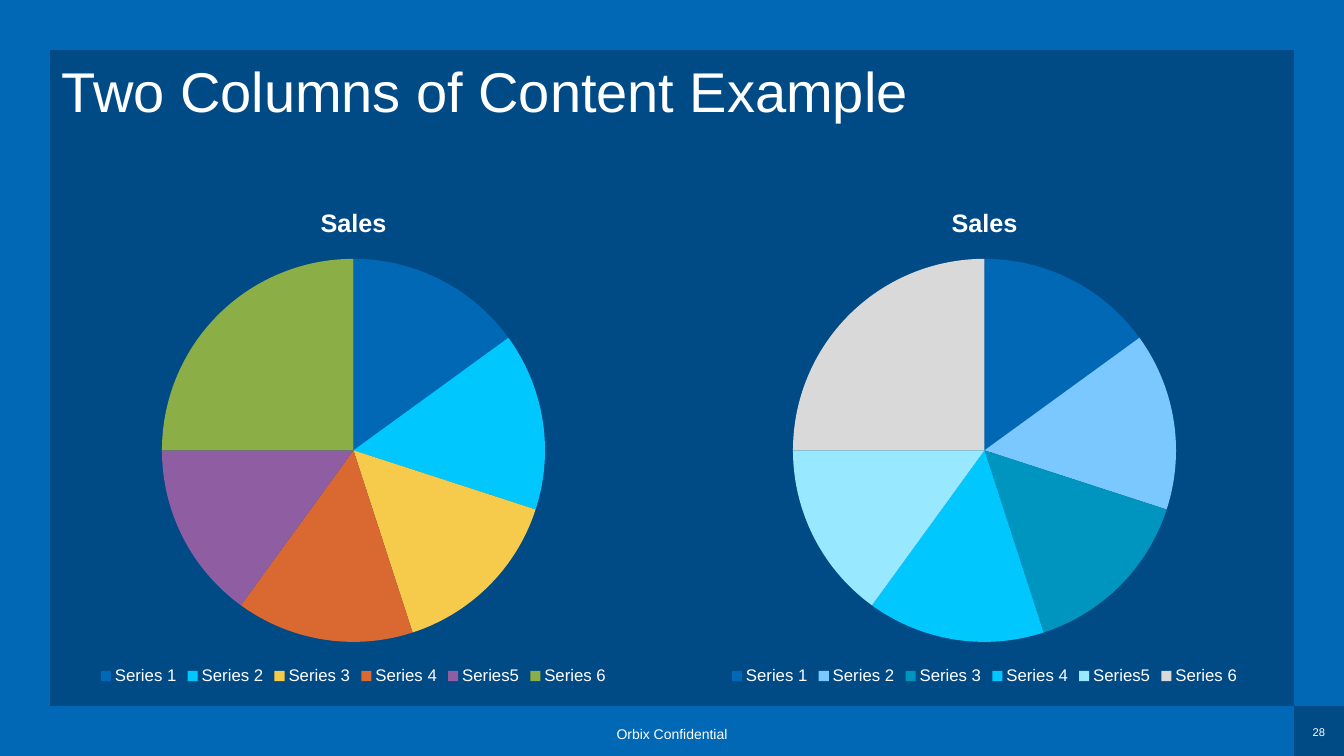
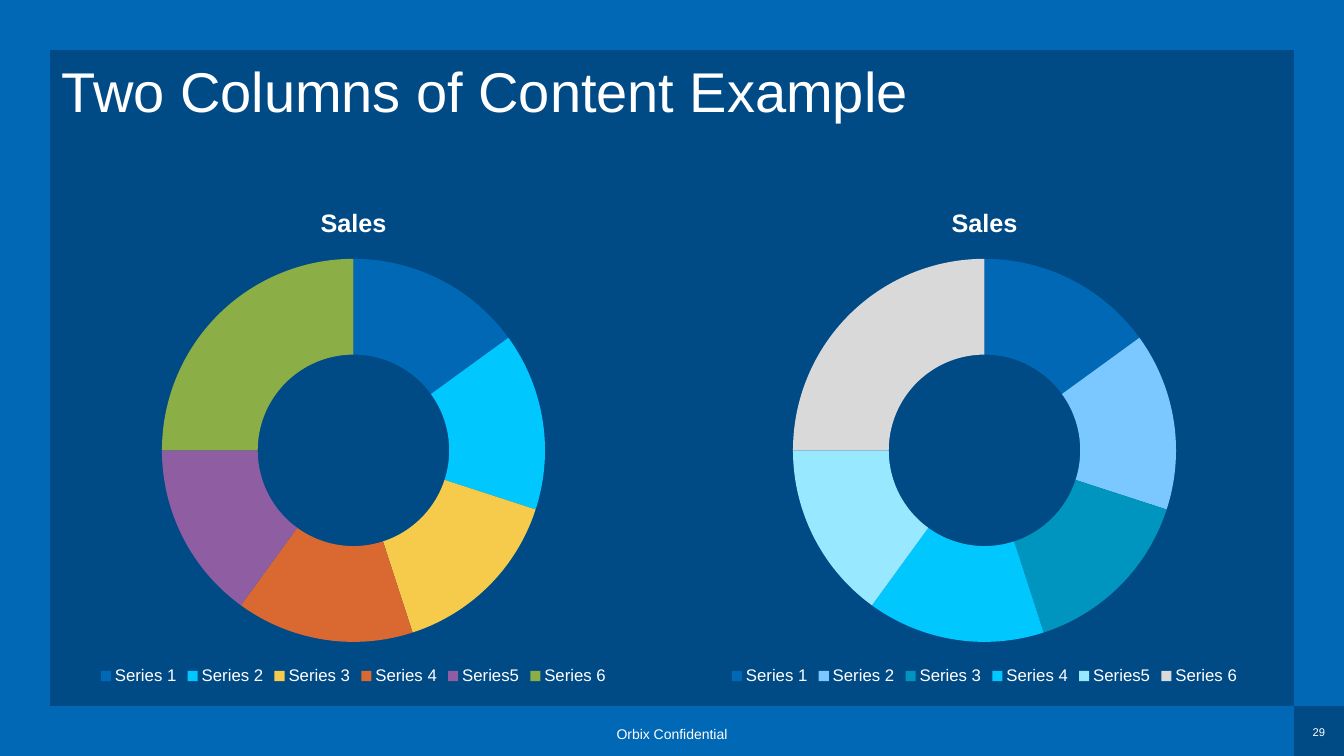
from pptx import Presentation
from pptx.chart.data import CategoryChartData
from pptx.dml.color import RGBColor
from pptx.enum.chart import XL_CHART_TYPE as ChartType, XL_LEGEND_POSITION as LegendPosition
from pptx.enum.shapes import MSO_SHAPE as Shape
from pptx.enum.text import MSO_ANCHOR as Anchor, MSO_AUTO_SIZE as AutoSize, PP_ALIGN as Align
from pptx.util import Emu, Pt

SCALE = 914400 / 100.8
WIDTH, HEIGHT = 1344, 756
BAND = 50
MARGIN = 62
GUTTER = 48

NAVY = RGBColor(0x00, 0x4A, 0x86)
BLUE = RGBColor(0x00, 0x68, 0xB5)
CYAN = RGBColor(0x00, 0xC7, 0xFD)
YELLOW = RGBColor(0xF6, 0xCB, 0x4B)
ORANGE = RGBColor(0xD9, 0x69, 0x30)
PURPLE = RGBColor(0x8F, 0x5D, 0xA2)
GREEN = RGBColor(0x8B, 0xAE, 0x46)
SKY = RGBColor(0x7B, 0xC7, 0xFF)
TEAL = RGBColor(0x00, 0x95, 0xBE)
ICE = RGBColor(0x98, 0xE9, 0xFF)
GRAY = RGBColor(0xD9, 0xD9, 0xD9)
WHITE = RGBColor(0xFF, 0xFF, 0xFF)

FONT = "Arial"
PALETTES = [
    [BLUE, CYAN, YELLOW, ORANGE, PURPLE, GREEN],
    [BLUE, SKY, TEAL, CYAN, ICE, GRAY],
]
CATEGORIES = ["Series 1", "Series 2", "Series 3", "Series 4", "Series5", "Series 6"]
SALES = [15, 15, 15, 15, 15, 25]
TITLE = "Two Columns of Content Example"
FOOTER = "Orbix Confidential"
FIRST_NUMBER = 28


def px(*lengths):
    return [Emu(round(length * SCALE)) for length in lengths]


def style_font(font, size, bold=False):
    font.name = FONT
    font.size = Pt(size)
    font.bold = bold
    font.color.rgb = WHITE


def fill_text(shape, text, size, align, anchor):
    frame = shape.text_frame
    frame.margin_left = frame.margin_right = frame.margin_top = frame.margin_bottom = 0
    frame.auto_size = AutoSize.NONE
    frame.word_wrap = True
    frame.vertical_anchor = anchor
    frame.text = text
    paragraph = frame.paragraphs[0]
    paragraph.alignment = align
    paragraph.line_spacing = 0.9
    style_font(paragraph.font, size)


def add_frame(slide, width, height):
    right, bottom = width - BAND, height - BAND
    bands = [
        (0, bottom, right, BAND),
        (right, 0, BAND, bottom),
        (0, 0, right, BAND),
        (0, 0, BAND, bottom),
    ]
    for box in bands:
        band = slide.shapes.add_shape(Shape.RECTANGLE, *px(*box))
        band.shadow.inherit = False
        band.fill.solid()
        band.fill.fore_color.rgb = BLUE
        band.line.fill.background()


def add_footer(slide, number):
    labels = [
        (FOOTER, 10, (572, 723, 200, 25)),
        (str(number), 8, (1304, 726, 30, 13)),
    ]
    for text, size, box in labels:
        label = slide.shapes.add_textbox(*px(*box))
        fill_text(label, text, size, Align.CENTER, Anchor.MIDDLE)


def place_title(slide, left, top, width, height):
    title = slide.shapes.title
    title.left, title.top, title.width, title.height = px(left, top, width, height)
    fill_text(title, TITLE, 40, Align.LEFT, Anchor.TOP)


def add_sales_chart(slide, chart_type, palette, left, top, width, height):
    data = CategoryChartData()
    data.categories = CATEGORIES
    data.add_series("Sales", SALES)
    chart = slide.shapes.add_chart(chart_type, *px(left, top, width, height), data).chart
    style_font(chart.font, 10)

    chart.has_title = True
    heading = chart.chart_title.text_frame
    heading.text = "Sales"
    style_font(heading.paragraphs[0].font, 18, bold=True)

    chart.has_legend = True
    chart.legend.position = LegendPosition.BOTTOM
    chart.legend.include_in_layout = False
    style_font(chart.legend.font, 12)

    plot = chart.plots[0]
    plot.vary_by_categories = True
    plot.has_data_labels = False
    for index, color in enumerate(palette):
        slice_format = plot.series[0].points[index].format
        slice_format.fill.solid()
        slice_format.fill.fore_color.rgb = color
        slice_format.line.fill.background()


def add_chart_pair(slide, chart_type, left, top, width, height):
    column = (width - GUTTER) // 2
    for index, palette in enumerate(PALETTES):
        column_left = left + index * (column + GUTTER)
        add_sales_chart(slide, chart_type, palette, column_left, top, column, height)


def add_two_column_slide(presentation, chart_type, number):
    slide = presentation.slides.add_slide(presentation.slide_layouts[5])
    content_width = WIDTH - 2 * MARGIN
    add_frame(slide, WIDTH, HEIGHT)
    add_footer(slide, number)
    place_title(slide, MARGIN, 64, content_width, 105)
    add_chart_pair(slide, chart_type, MARGIN, 186, content_width - 6, 503)


def main():
    presentation = Presentation()
    presentation.slide_width, presentation.slide_height = px(WIDTH, HEIGHT)
    background = presentation.slide_master.background.fill
    background.solid()
    background.fore_color.rgb = NAVY
    for number, chart_type in enumerate([ChartType.PIE, ChartType.DOUGHNUT], FIRST_NUMBER):
        add_two_column_slide(presentation, chart_type, number)
    presentation.save("out.pptx")


if __name__ == "__main__":
    main()
